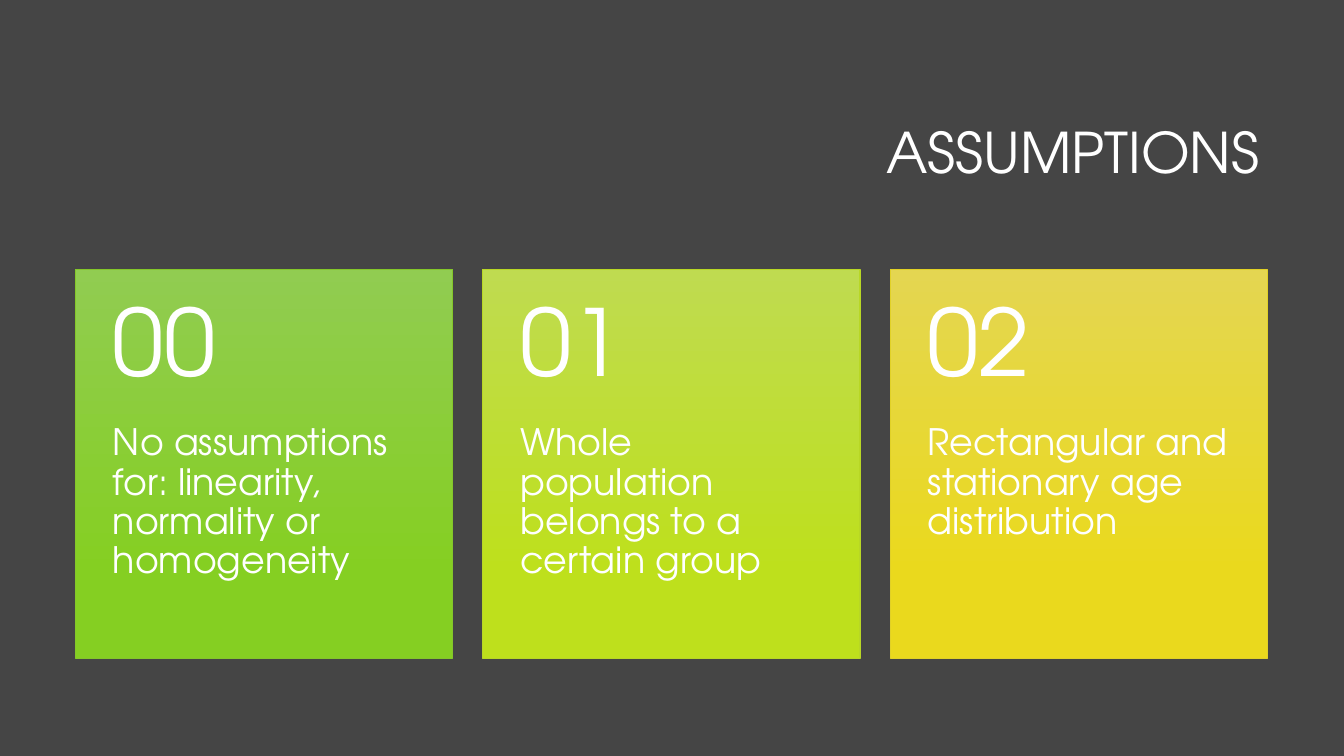
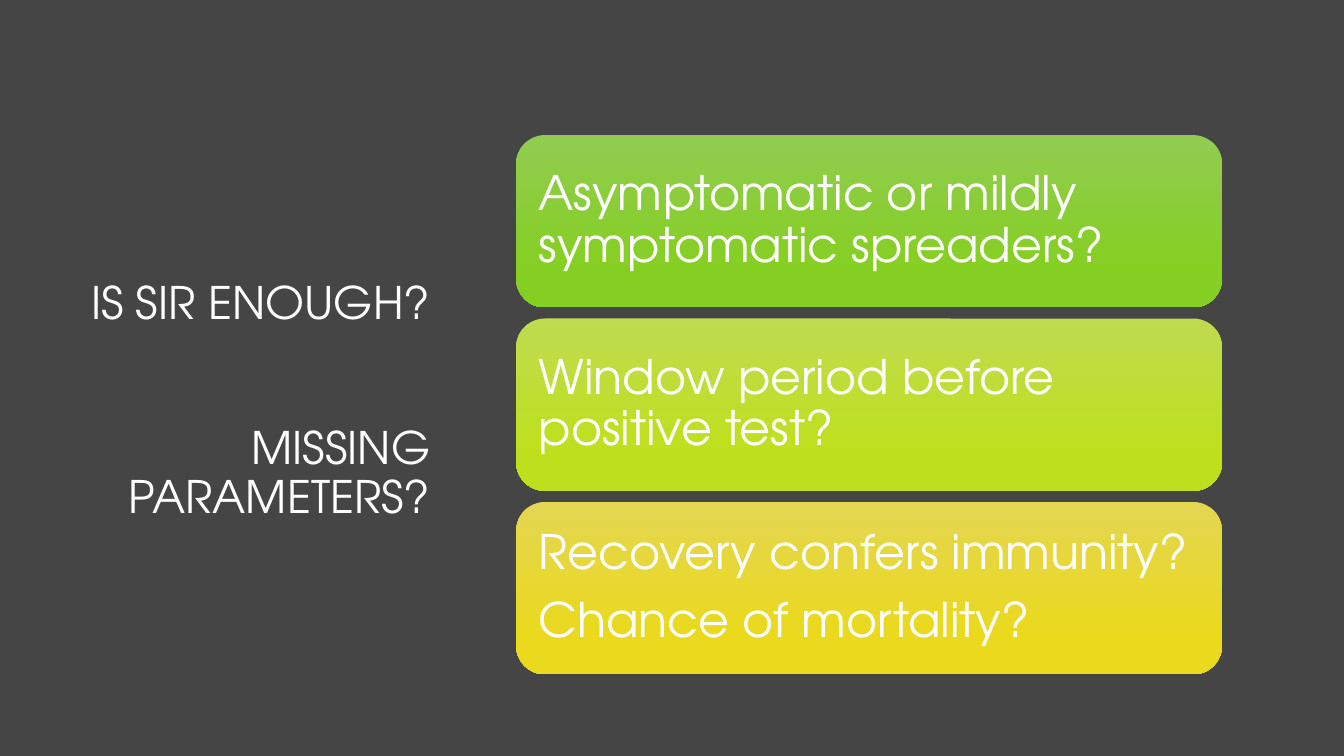
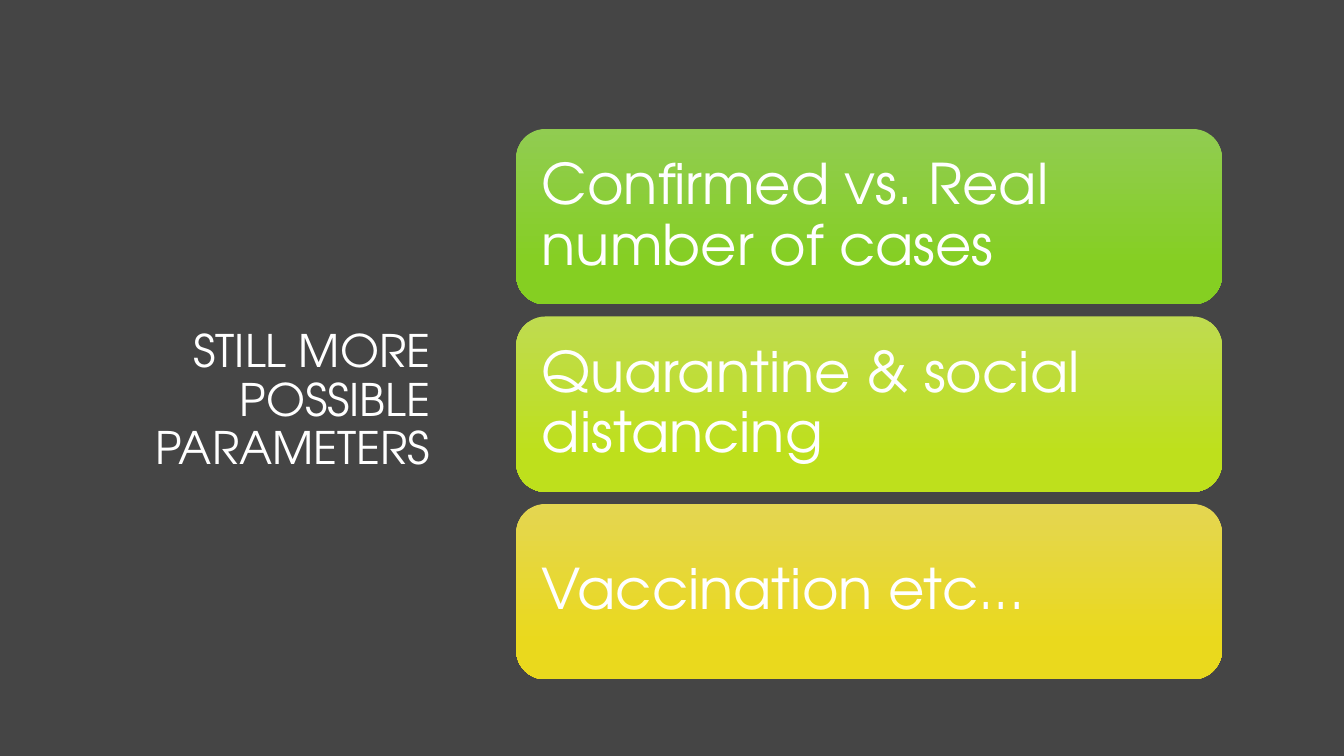
"""Build three slides of gradient cards on assumptions and parameters."""
from dataclasses import dataclass

from pptx import Presentation
from pptx.dml.color import RGBColor
from pptx.enum.shapes import MSO_SHAPE
from pptx.enum.text import MSO_ANCHOR, MSO_AUTO_SIZE, PP_ALIGN
from pptx.presentation import Presentation as Deck
from pptx.shapes.autoshape import Shape
from pptx.slide import Slide
from pptx.text.text import TextFrame
from pptx.util import Inches, Pt

RECT = MSO_SHAPE.RECTANGLE
ROUND = MSO_SHAPE.ROUNDED_RECTANGLE
TOP = MSO_ANCHOR.TOP
MIDDLE = MSO_ANCHOR.MIDDLE
LEFT = PP_ALIGN.LEFT
RIGHT = PP_ALIGN.RIGHT
FIXED = MSO_AUTO_SIZE.NONE

FONT = "TeX Gyre Adventor"
COLORS = {"back": "454545", "text": "FFFFFF"}
LEADING = 0.9
AFTER = 0.35


@dataclass(frozen=True)
class Box:
    left: float
    top: float
    width: float
    height: float


@dataclass(frozen=True)
class Tint:
    start: str
    end: str
    edge: str


@dataclass(frozen=True)
class Stack:
    title: tuple[str, ...]
    top: float
    height: float
    gap: float
    inset: float
    size: int
    cards: tuple[tuple[str, ...], ...]


TINTS = (
    Tint("91CC51", "85CF22", "84C72A"),
    Tint("BFDB50", "BEE01C", "B8D725"),
    Tint("E4D651", "EAD91D", "E1D126"),
)
WIDE = Box(3.17, 0.84, 9.42, 1.41)
SIDE = Box(0.75, 1.17, 3.62, 5.63)
CLAIMS = (
    "No assumptions for: linearity, normality or homogeneity",
    "Whole population belongs to a certain group",
    "Rectangular and stationary age distribution",
)
STACKS = (
    Stack(
        ("IS SIR ENOUGH?", "MISSING PARAMETERS?"), 1.34, 1.71, 0.11, 0.14, 34,
        (
            ("Asymptomatic or mildly symptomatic spreaders?",),
            ("Window period before positive test?",),
            ("Recovery confers immunity?", "Chance of mortality?"),
        ),
    ),
    Stack(
        ("STILL MORE POSSIBLE PARAMETERS",), 1.28, 1.74, 0.12, 0.17, 40,
        (
            ("Confirmed vs. Real number of cases",),
            ("Quarantine & social distancing",),
            ("Vaccination etc...",),
        ),
    ),
)


def rgb(value: str) -> RGBColor:
    return RGBColor.from_string(value)


def place(box: Box) -> tuple[int, int, int, int]:
    return Inches(box.left), Inches(box.top), Inches(box.width), Inches(box.height)


def write(frame: TextFrame, lines: tuple[str, ...], size: int, align: PP_ALIGN,
          before: float = 0, after: float = 0) -> None:
    frame.word_wrap = True
    frame.auto_size = FIXED
    for i, line in enumerate(lines):
        para = frame.paragraphs[0] if i == 0 else frame.add_paragraph()
        para.alignment = align
        para.line_spacing = LEADING
        para.space_before = Pt(before if i else 0)
        para.space_after = Pt(after)
        run = para.add_run()
        run.text = line
        run.font.name = FONT
        run.font.size = Pt(size)
        run.font.color.rgb = rgb(COLORS["text"])


def pad(frame: TextFrame, side: float, top: float, bottom: float) -> None:
    frame.margin_left = frame.margin_right = Inches(side)
    frame.margin_top = Inches(top)
    frame.margin_bottom = Inches(bottom)


def start(deck: Deck, lines: tuple[str, ...], box: Box, size: int) -> Slide:
    slide = deck.slides.add_slide(deck.slide_layouts[5])
    title = slide.shapes.title
    title.left, title.top, title.width, title.height = place(box)
    frame = title.text_frame
    frame.vertical_anchor = MIDDLE
    write(frame, lines, size, RIGHT, before=69.5)
    return slide


def card(slide: Slide, kind: MSO_SHAPE, box: Box, tint: Tint) -> Shape:
    shape = slide.shapes.add_shape(kind, *place(box))
    shape.shadow.inherit = False
    shape.fill.gradient()
    shape.fill.gradient_angle = 270
    stops = shape.fill.gradient_stops
    for stop, spot, color in zip(stops, (0, 0.78), (tint.start, tint.end)):
        stop.position = spot
        stop.color.rgb = rgb(color)
    if kind == RECT:
        shape.line.color.rgb = rgb(tint.edge)
        shape.line.width = Pt(0.75)
    else:
        shape.line.fill.background()
    return shape


def label(slide: Slide, box: Box, text: str, size: int, anchor: MSO_ANCHOR,
          top: float, bottom: float) -> None:
    frame = slide.shapes.add_textbox(*place(box)).text_frame
    frame.vertical_anchor = anchor
    pad(frame, 0.37, top, bottom)
    write(frame, (text,), size, LEFT, after=AFTER * size)


def row(deck: Deck) -> None:
    slide = start(deck, ("ASSUMPTIONS",), WIDE, 40)
    top, width, head, body, gap = 2.67, 3.74, 1.54, 2.32, 0.3
    for i, (claim, tint) in enumerate(zip(CLAIMS, TINTS)):
        left = 0.75 + i * (width + gap)
        card(slide, RECT, Box(left, top, width, head + body), tint)
        label(slide, Box(left, top + head, width, body), claim, 26, TOP, 0, 0.36)
        label(slide, Box(left, top, width, head), f"{i:02}", 66, MIDDLE, 0.18, 0.18)


def column(deck: Deck, stack: Stack) -> None:
    slide = start(deck, stack.title, SIDE, 32)
    for i, (lines, tint) in enumerate(zip(stack.cards, TINTS)):
        top = stack.top + i * (stack.height + stack.gap)
        frame = card(slide, ROUND, Box(5.12, top, 7, stack.height), tint).text_frame
        frame.vertical_anchor = MIDDLE
        pad(frame, stack.inset, stack.inset, stack.inset)
        write(frame, lines, stack.size, LEFT, after=AFTER * stack.size)


def main() -> None:
    deck = Presentation()
    deck.slide_width, deck.slide_height = Inches(13.33), Inches(7.5)
    back = deck.slide_master.background.fill
    back.solid()
    back.fore_color.rgb = rgb(COLORS["back"])
    row(deck)
    for stack in STACKS:
        column(deck, stack)
    deck.save("out.pptx")


if __name__ == "__main__":
    main()
